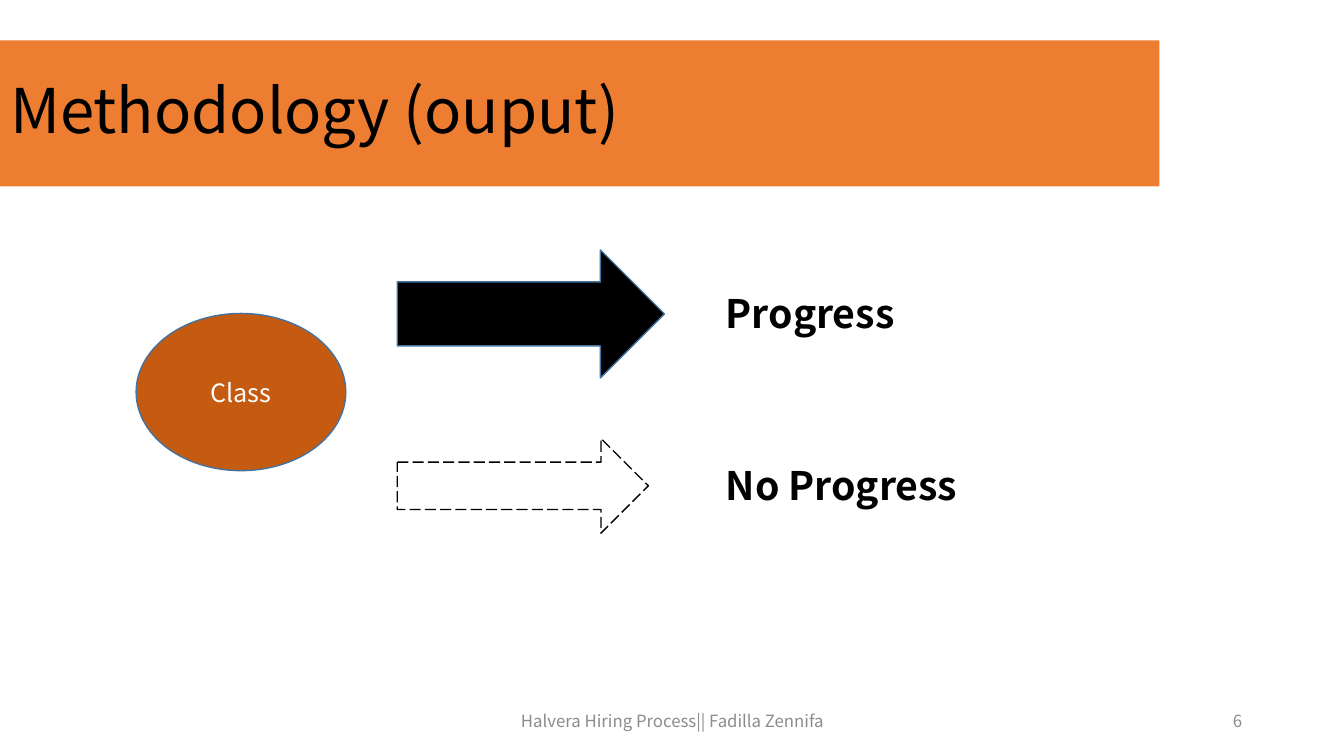
"""Build the methodology output slide: one class leading to two outcomes."""
from pptx import Presentation
from pptx.dml.color import RGBColor
from pptx.enum.dml import MSO_LINE
from pptx.enum.shapes import MSO_SHAPE
from pptx.enum.text import MSO_ANCHOR, MSO_AUTO_SIZE, PP_ALIGN
from pptx.util import Inches, Pt

LEFT, CENTER, RIGHT = PP_ALIGN.LEFT, PP_ALIGN.CENTER, PP_ALIGN.RIGHT
MIDDLE, TOP = MSO_ANCHOR.MIDDLE, MSO_ANCHOR.TOP
OVAL, ARROW = MSO_SHAPE.OVAL, MSO_SHAPE.RIGHT_ARROW
LONG_DASH = MSO_LINE.LONG_DASH
FIT_SHAPE, NO_FIT = MSO_AUTO_SIZE.SHAPE_TO_FIT_TEXT, MSO_AUTO_SIZE.NONE
FONT = "Noto Sans CJK JP"
COLORS = {
    "banner": "ED7D31",
    "class": "C55A11",
    "outline": "43739E",
    "black": "000000",
    "white": "FFFFFF",
    "footer": "8C8C8C",
}


def write(shape, text, size=18, color="black", bold=False, align=LEFT,
          anchor=MIDDLE, wrap=True, fit=NO_FIT, spacing=1.0):
    frame = shape.text_frame
    frame.text = text
    frame.word_wrap = wrap
    frame.auto_size = fit
    frame.vertical_anchor = anchor
    paragraph = frame.paragraphs[0]
    paragraph.alignment = align
    paragraph.line_spacing = spacing
    font = paragraph.runs[0].font
    font.name = FONT
    font.size = Pt(size)
    font.bold = bold
    font.color.rgb = RGBColor.from_string(COLORS[color])


def add_figure(kind, box, fill, line):
    figure = slide.shapes.add_shape(kind, *map(Inches, box))
    figure.shadow.inherit = False
    if fill:
        figure.fill.solid()
        figure.fill.fore_color.rgb = RGBColor.from_string(COLORS[fill])
    else:
        figure.fill.background()
    figure.line.color.rgb = RGBColor.from_string(COLORS[line])
    figure.line.width = Pt(1)
    return figure


prs = Presentation()
prs.slide_width, prs.slide_height = Inches(13.33), Inches(7.5)
slide = prs.slides.add_slide(prs.slide_layouts[5])

title = slide.shapes.title
title.left, title.top = Inches(0), Inches(0.4)
title.width, title.height = Inches(11.5), Inches(1.45)
title.fill.solid()
title.fill.fore_color.rgb = RGBColor.from_string(COLORS["banner"])
write(title, "Methodology (ouput)", size=44, spacing=0.9)

class_oval = add_figure(OVAL, (1.35, 3.11, 2.08, 1.56), "class", "outline")
write(class_oval, "Class", color="white", align=CENTER)

progress_arrow = add_figure(ARROW, (3.94, 2.48, 2.65, 1.27), "black", "outline")
no_progress_arrow = add_figure(ARROW, (3.94, 4.35, 2.49, 0.94), None, "black")
no_progress_arrow.line.dash_style = LONG_DASH

for outcome, top, width in (("Progress", 2.82, 1.89), ("No Progress", 4.53, 2.54)):
    label = slide.shapes.add_textbox(Inches(7.1), Inches(top), Inches(width), Inches(0.57))
    write(label, outcome, size=28, bold=True, anchor=TOP, wrap=False, fit=FIT_SHAPE)

for footer_text, left, width, align in (
    ("Halvera Hiring Process|| Fadilla Zennifa", 4.42, 4.5, CENTER),
    ("6", 9.42, 3, RIGHT),
):
    footer = slide.shapes.add_textbox(Inches(left), Inches(6.95), Inches(width), Inches(0.4))
    write(footer, footer_text, size=12, color="footer", align=align)

prs.save("out.pptx")
